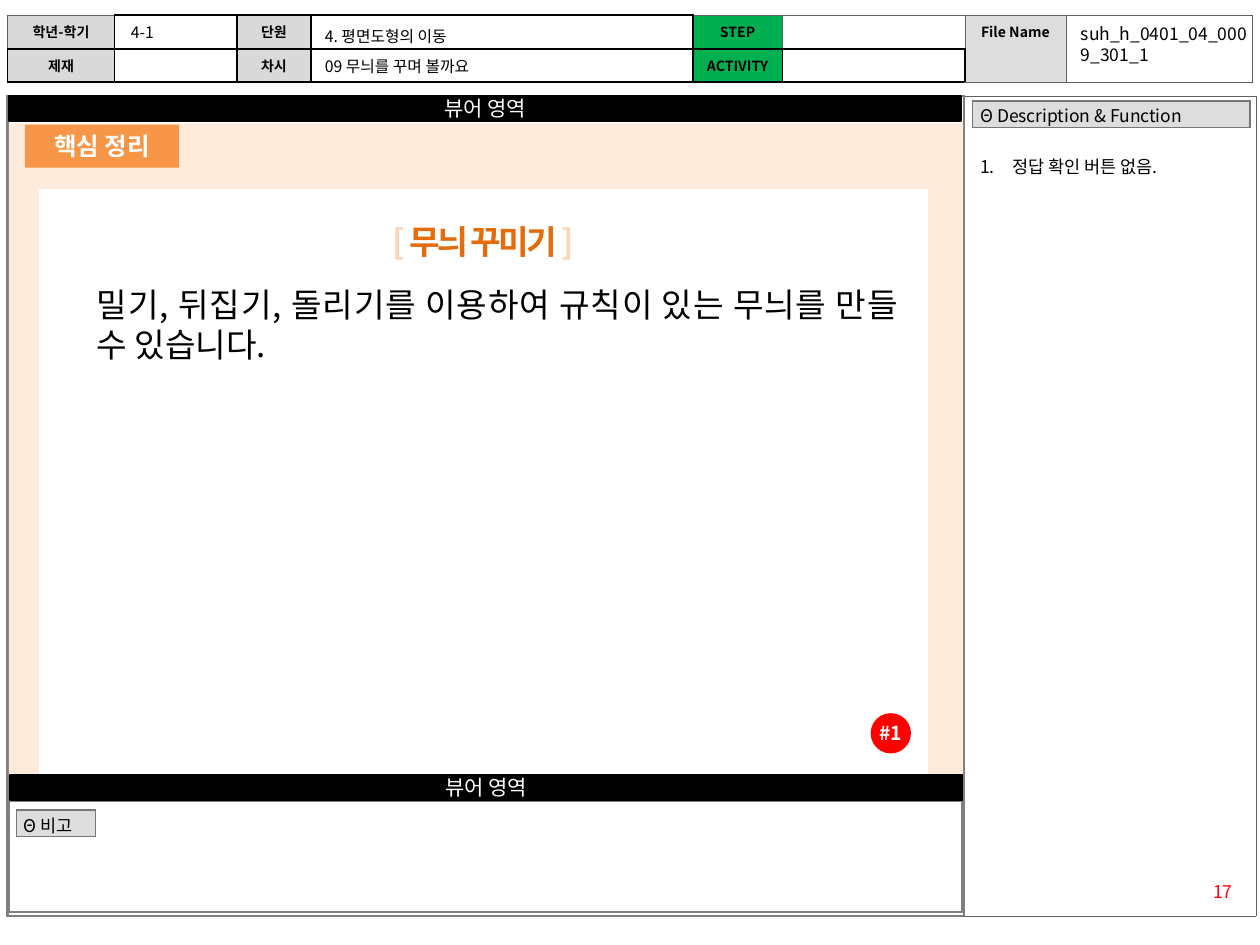
import pptx
import pptx.dml.color
import pptx.enum.shapes
import pptx.enum.text
import pptx.oxml.ns
import pptx.util
from dataclasses import dataclass
from lxml import etree

ALIGN = pptx.enum.text.PP_ALIGN
ANCHOR = pptx.enum.text.MSO_ANCHOR
SHAPE = pptx.enum.shapes.MSO_SHAPE


@dataclass(frozen=True)
class Theme:
    font: str = "Noto Sans CJK KR"
    black: str = "000000"
    white: str = "FFFFFF"
    label: str = "D9D9D9"
    tag: str = "DDDDDD"
    green: str = "00B050"
    peach: str = "FDEADA"
    orange: str = "F79646"
    deep: str = "E46C0A"
    pale: str = "FCD5B5"
    red: str = "FF0000"
    frame: str = "808080"
    rule: str = "5F5F5F"
    edge: str = "777777"
    tiny: float = 8
    small: float = 9
    note: float = 10
    badge: float = 11
    bar: float = 12
    head: float = 14
    body: float = 19


T = Theme()

# The slide is a grid of 100 columns by 75 rows
WIDE, HIGH = pptx.util.Inches(10), pptx.util.Inches(7.5)
COL, ROW = WIDE / 100, HIGH / 75


def place(x, y, w, h):
    return int(x * COL), int(y * ROW), int(w * COL), int(h * ROW)


def color(code):
    return pptx.dml.color.RGBColor.from_string(code)


def add(parent, tag, **attrs):
    node = etree.SubElement(parent, pptx.oxml.ns.qn(tag))
    for key, val in attrs.items():
        node.set(key, str(val))
    return node


def write(frame, text, size=T.note, ink=T.black, bold=False, align=ALIGN.LEFT,
          anchor=ANCHOR.TOP, line=None, track=None, count=False):
    """Text is a string, or a list of (string, colour) pairs."""
    frame.word_wrap = True
    frame.vertical_anchor = anchor
    para = frame.paragraphs[0]
    para.alignment = align
    if line:
        para.line_spacing = line
    if count:
        props = para._p.get_or_add_pPr()
        props.set("marL", str(int(2.6 * COL)))
        props.set("indent", str(int(-2.6 * COL)))
        add(props, "a:buAutoNum", type="arabicPeriod")
    for part, tint in [(text, ink)] if isinstance(text, str) else text:
        run = para.add_run()
        run.text = part
        run.font.size = pptx.util.Pt(size)
        run.font.bold = bold
        run.font.name = T.font
        run.font.color.rgb = color(tint)
        props = run._r.get_or_add_rPr()
        add(props, "a:ea", typeface=T.font)
        if track:
            props.set("spc", str(int(track * 100)))


def label(slide, box, text, **fmt):
    write(slide.shapes.add_textbox(*place(*box)).text_frame, text, **fmt)


def block(slide, box, fill, text=None, line=None, kind=SHAPE.RECTANGLE,
          inset=True, **fmt):
    shape = slide.shapes.add_shape(kind, *place(*box))
    shape.shadow.inherit = False
    shape.fill.solid()
    shape.fill.fore_color.rgb = color(fill)
    if line:
        shape.line.color.rgb = color(line)
        shape.line.width = pptx.util.Pt(1)
    else:
        shape.line.fill.background()
    frame = shape.text_frame
    if not inset:
        frame.margin_left = frame.margin_right = 0
        frame.margin_top = frame.margin_bottom = 0
    if text:
        write(frame, text, **fmt)


def style(cell, ink, width, fill=None, pad=(1, 0.5)):
    props = cell._tc.get_or_add_tcPr()
    for side in ("a:lnL", "a:lnR", "a:lnT", "a:lnB"):
        edge = add(props, side, w=int(pptx.util.Pt(width)))
        add(add(edge, "a:solidFill"), "a:srgbClr", val=ink)
    if fill:
        cell.fill.solid()
        cell.fill.fore_color.rgb = color(fill)
    else:
        cell.fill.background()
    cell.margin_left = cell.margin_right = int(pad[0] * COL)
    cell.margin_top = cell.margin_bottom = int(pad[1] * ROW)


def grid(slide, x, y, cols, rows):
    box = place(x, y, sum(cols), sum(rows))
    table = slide.shapes.add_table(len(rows), len(cols), *box).table
    table.first_row = table.horz_banding = False
    for col, wide in zip(table.columns, cols):
        col.width = int(wide * COL)
    for row, high in zip(table.rows, rows):
        row.height = int(high * ROW)
    for cell in table.iter_cells():
        # Keep empty cells from stretching their row
        add(cell.text_frame.paragraphs[0]._p, "a:endParaRPr", sz=800)
    return table


def tag(slide, x, y, wide, high, text):
    cell = grid(slide, x, y, [wide], [high]).cell(0, 0)
    style(cell, T.edge, 1, T.tag, (0.6, 0.3))
    write(cell.text_frame, text, line=0.9, anchor=ANCHOR.MIDDLE)


def frames(slide):
    main = grid(slide, 0.6, 7.6, [75.9, 23.2], [65.1])
    style(main.cell(0, 1), T.rule, 0.25)
    style(main.cell(0, 0), T.frame, 1.5)
    foot = grid(slide, 0.7, 63.6, [75.7], [8.8])
    style(foot.cell(0, 0), T.frame, 1.5)


def header(slide):
    table = grid(slide, 0.6, 1.2,
                 [8.5, 9.7, 5.9, 30.3, 7.1, 14.5, 8, 14.8], [2.7, 2.5])
    for col in (6, 7):
        table.cell(0, col).merge(table.cell(1, col))
    names = {(0, 0): "학년-학기", (1, 0): "제재", (0, 2): "단원", (1, 2): "차시",
             (0, 4): "STEP", (1, 4): "ACTIVITY", (0, 6): "File Name"}
    fills = {0: T.label, 2: T.label, 4: T.green, 6: T.tag}
    for row in range(2):
        for col in range(8):
            cell = table.cell(row, col)
            thin = col > 5 or (row == 0 and col in (0, 4, 5))
            style(cell, T.rule if thin else T.black, 0.25 if thin else 1,
                  fills.get(col))
            if (row, col) in names:
                write(cell.text_frame, names[row, col], size=T.tiny,
                      bold=True, align=ALIGN.CENTER, anchor=ANCHOR.MIDDLE)
    # Values beside the header labels
    label(slide, (9.4, 1.3, 9.4, 2.4), "4-1", size=T.small)
    label(slide, (24.8, 1.6, 30.3, 1.6), "4. 평면도형의 이동", size=T.small)
    label(slide, (24.8, 4, 29.9, 2.4), "09 무늬를 꾸며 볼까요", size=T.small)
    label(slide, (84.8, 1.3, 15.2, 4.4), "suh_h_0401_04_0009_301_1",
          align=ALIGN.JUSTIFY)


def viewer(slide):
    block(slide, (0.7, 9.8, 75.7, 51.7), T.peach)
    block(slide, (3.2, 15.1, 70.4, 46.3), T.white, line=T.white)
    for x, y in ((0.7, 7.6), (0.8, 61.5)):
        block(slide, (x, y, 75.6, 2), T.black, "뷰어 영역", line=T.black,
              size=T.bar, ink=T.white, align=ALIGN.CENTER,
              anchor=ANCHOR.MIDDLE)


def lesson(slide):
    block(slide, (2, 9.9, 12.2, 3.4), T.orange, "핵심 정리", size=T.head,
          ink=T.white, bold=True, align=ALIGN.CENTER)
    label(slide, (4.3, 17.1, 68.1, 4.2),
          [("[ ", T.pale), ("무늬 꾸미기 ", T.deep), ("]", T.pale)],
          size=T.body, bold=True, align=ALIGN.CENTER, track=-1.5)
    block(slide, (6.7, 22.1, 65.6, 7.4), T.white,
          "밀기, 뒤집기, 돌리기를 이용하여 규칙이 있는 무늬를 만들 수 있습니다.",
          size=T.body, align=ALIGN.JUSTIFY)
    block(slide, (69.1, 56.6, 3.2, 3.2), T.red, "#1", kind=SHAPE.OVAL,
          inset=False, size=T.badge, ink=T.white, bold=True, line=None,
          align=ALIGN.CENTER, anchor=ANCHOR.MIDDLE)


def notes(slide):
    tag(slide, 1.3, 64.3, 6.3, 2, "Θ 비고")
    tag(slide, 77.2, 8, 22, 2.1, "Θ Description & Function")
    label(slide, (76.8, 11.9, 23.2, 2.7), "정답 확인 버튼 없음.", count=True)
    label(slide, (92.1, 69.4, 6.7, 2.7), "17", ink=T.red, align=ALIGN.RIGHT)


def main():
    deck = pptx.Presentation()
    deck.slide_width, deck.slide_height = WIDE, HIGH
    slide = deck.slides.add_slide(deck.slide_layouts[6])
    for part in (frames, header, viewer, lesson, notes):
        part(slide)
    deck.save("out.pptx")


if __name__ == "__main__":
    main()
